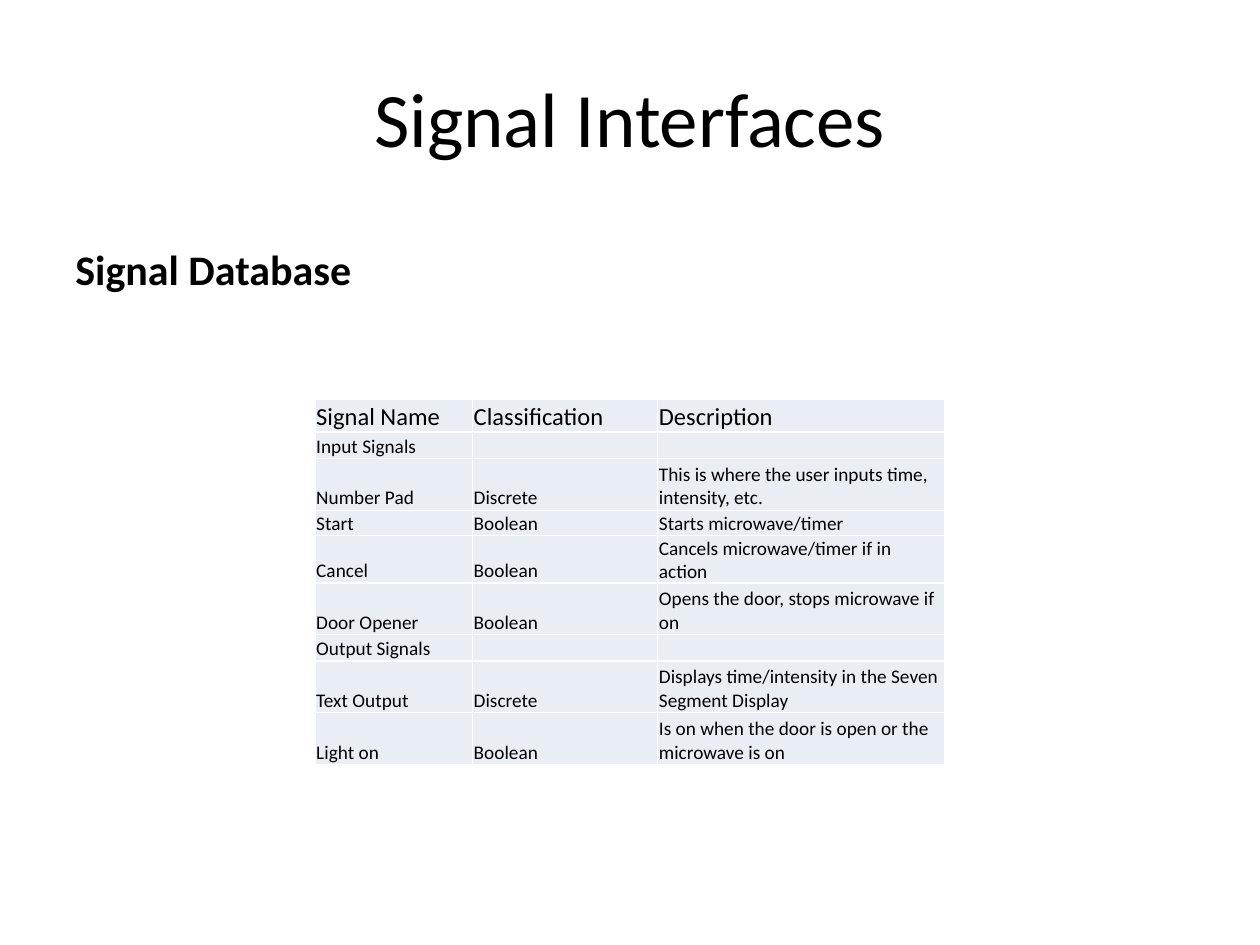
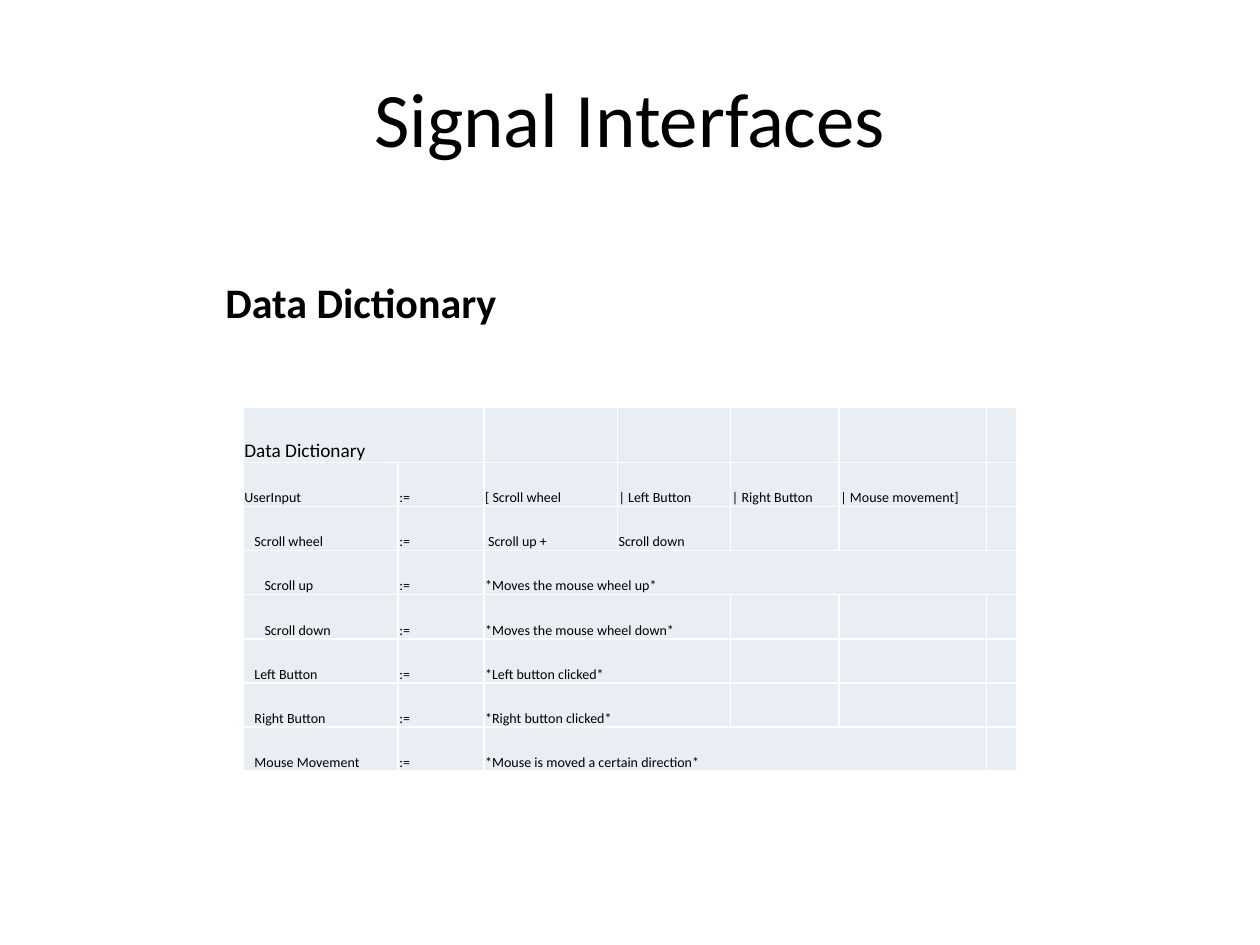
from lxml.etree import SubElement
from pptx import Presentation
from pptx.dml.color import RGBColor
from pptx.enum.text import MSO_ANCHOR as Anchor, PP_ALIGN as Align
from pptx.oxml.ns import qn
from pptx.util import Inches, Pt

BLACK = RGBColor(0x00, 0x00, 0x00)
CELL_FILL = RGBColor(0xE9, 0xED, 0xF4)
FONT = "Calibri"
INDENT = 0.08  # inches for each level of a dictionary entry


def write(frame, text, size, bold=False, align=Align.LEFT):
    frame.word_wrap = True
    para = frame.paragraphs[0]
    para.alignment = align
    if not text:  # keeps an empty cell from stretching its row
        SubElement(para._p, qn("a:endParaRPr")).set("sz", str(size * 100))
        return
    span = para.add_run()
    span.text = text
    span.font.name = FONT
    span.font.size = Pt(size)
    span.font.bold = bold
    span.font.color.rgb = BLACK


# Signal database: name, classification, description
signals = [
    ["Signal Name", "Classification", "Description"],
    ["Input Signals", "", ""],
    ["Number Pad", "Discrete", "This is where the user inputs time, intensity, etc."],
    ["Start", "Boolean", "Starts microwave/timer"],
    ["Cancel", "Boolean", "Cancels microwave/timer if in action"],
    ["Door Opener", "Boolean", "Opens the door, stops microwave if on"],
    ["Output Signals", "", ""],
    ["Text Output", "Discrete", "Displays time/intensity in the Seven Segment Display"],
    ["Light on", "Boolean", "Is on when the door is open or the microwave is on"],
]

# Data dictionary: missing cells at the end of a row are empty
dictionary = [
    ["Data Dictionary"],
    ["UserInput", ":=", "[ Scroll wheel", "| Left Button", "| Right Button", "| Mouse movement]"],
    ["Scroll wheel", ":=", "Scroll up +", "Scroll down"],
    ["Scroll up", ":=", "*Moves the mouse wheel up*"],
    ["Scroll down", ":=", "*Moves the mouse wheel down*"],
    ["Left Button", ":=", "*Left button clicked*"],
    ["Right Button", ":=", "*Right button clicked*"],
    ["Mouse Movement", ":=", "*Mouse is moved a certain direction*"],
]

# Merges are (row, first column, last column); levels are indents by cell
pages = [
    dict(heading="Signal Database", heading_at=(0.5, 1.68, 4.42, 0.7),
         rows=signals, left=2.5, top=3.17, widths=[1.25, 1.47, 2.28],
         heights=[0.26, 0.21, 0.41, 0.2, 0.21, 0.41, 0.21, 0.41, 0.41],
         head_size=14, body_size=11, merges=[], levels={}),
    dict(heading="Data Dictionary", heading_at=(1.69, 2.12, 3.32, 0.52),
         rows=dictionary, left=1.93, top=3.23,
         widths=[1.23, 0.68, 1.06, 0.9, 0.86, 1.17, 0.24],
         heights=[0.44] + [0.35] * 7, head_size=11, body_size=8,
         merges=[(0, 0, 1), (3, 2, 6), (4, 2, 3), (5, 2, 3), (6, 2, 3), (7, 2, 5)],
         levels={(2, 0): 1, (2, 2): 0.3, (3, 0): 2, (4, 0): 2,
                 (5, 0): 1, (6, 0): 1, (7, 0): 1}),
]

deck = Presentation()
deck.slide_width, deck.slide_height = Inches(10), Inches(7.5)

for content in pages:
    page = deck.slides.add_slide(deck.slide_layouts[6])

    # Title and heading
    title = page.shapes.add_textbox(Inches(0.5), Inches(0.3), Inches(9), Inches(1.25))
    title.text_frame.vertical_anchor = Anchor.MIDDLE
    write(title.text_frame, "Signal Interfaces", size=44, align=Align.CENTER)
    heading = page.shapes.add_textbox(*map(Inches, content["heading_at"]))
    heading.text_frame.vertical_anchor = Anchor.BOTTOM
    write(heading.text_frame, content["heading"], size=24, bold=True)

    # Table grid
    widths, heights = content["widths"], content["heights"]
    table = page.shapes.add_table(
        len(heights), len(widths), Inches(content["left"]), Inches(content["top"]),
        Inches(sum(widths)), Inches(sum(heights))).table
    table.first_row = table.horz_banding = False
    for column, width in zip(table.columns, widths):
        column.width = Inches(width)
    for row, height in zip(table.rows, heights):
        row.height = Inches(height)
    for row, first, last in content["merges"]:
        table.cell(row, first).merge(table.cell(row, last))

    # Table cells
    for r, texts in enumerate(content["rows"]):
        size = content["body_size"] if r else content["head_size"]
        for c in range(len(widths)):
            cell = table.cell(r, c)
            cell.fill.solid()
            cell.fill.fore_color.rgb = CELL_FILL
            cell.vertical_anchor = Anchor.BOTTOM
            level = content["levels"].get((r, c), 0)
            cell.margin_left = Inches(0.01 + INDENT * level)
            cell.margin_right = cell.margin_top = Inches(0.01)
            cell.margin_bottom = 0
            write(cell.text_frame, texts[c] if c < len(texts) else "", size)

deck.save("out.pptx")
